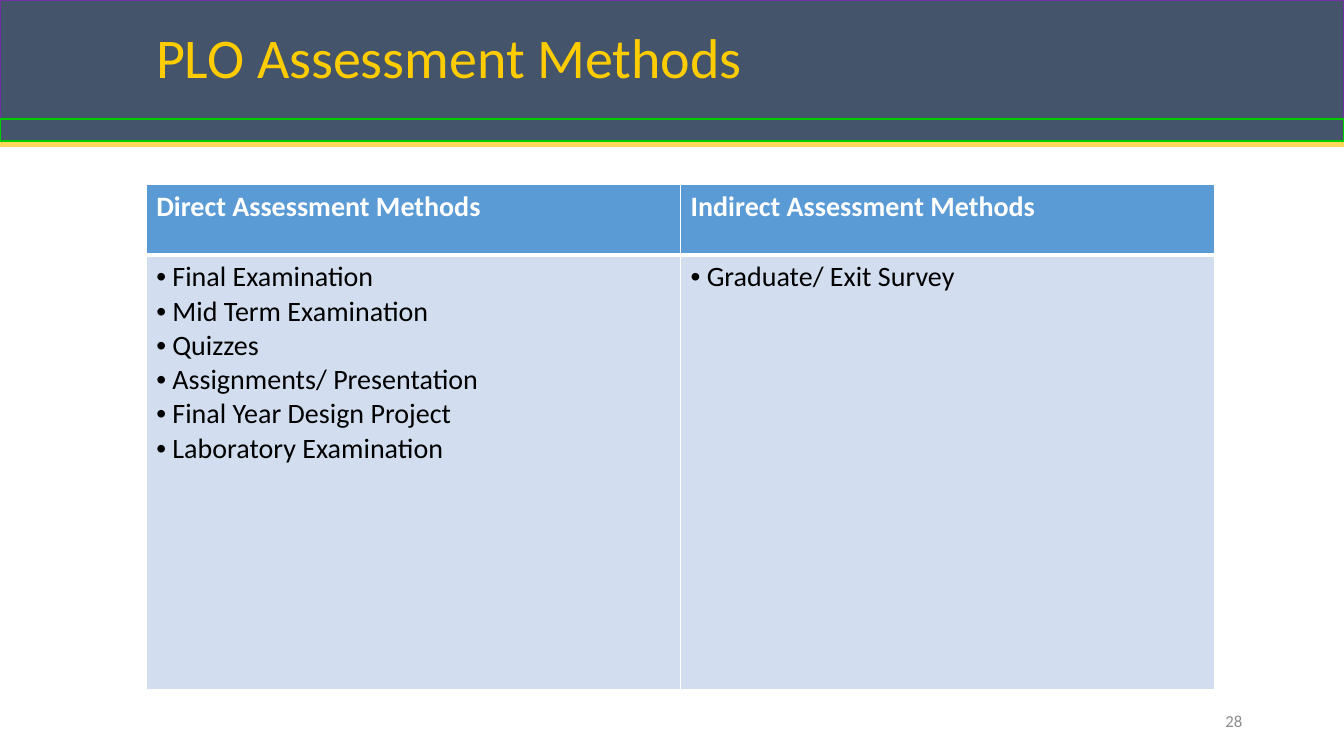
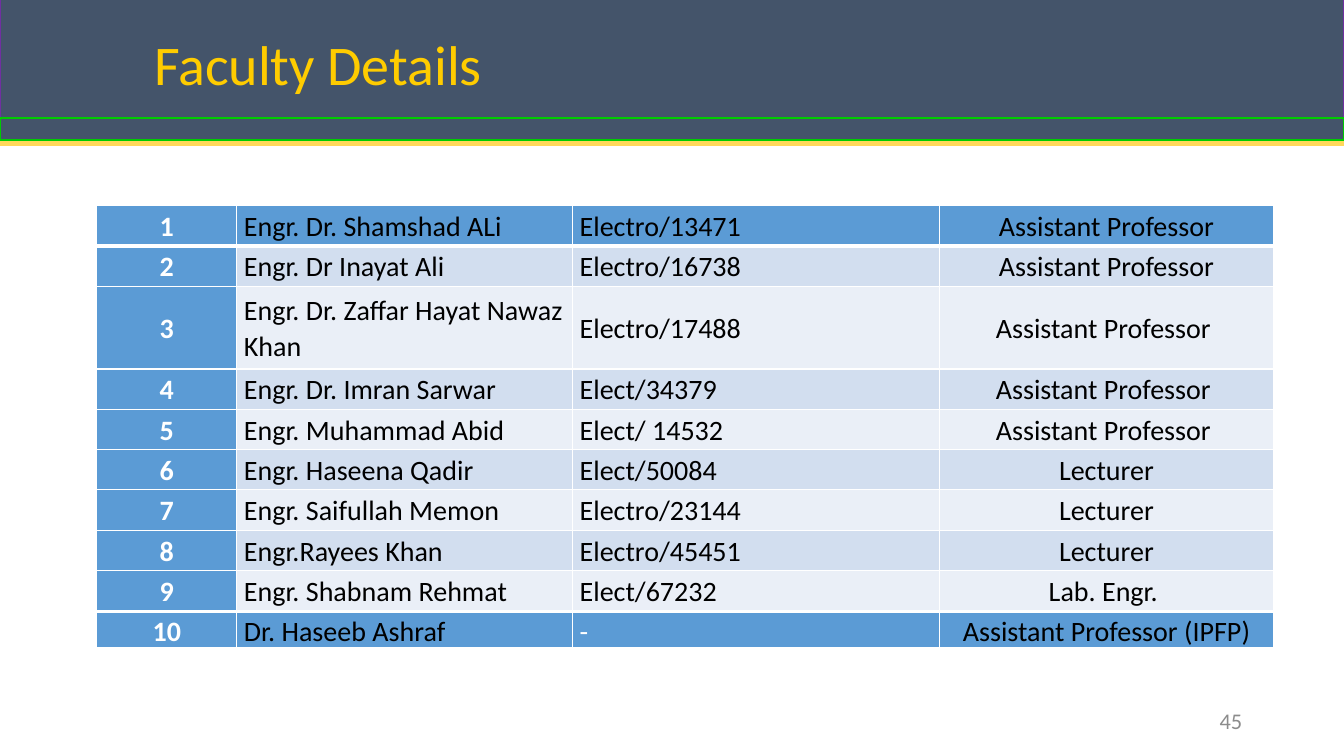
import pptx
import pptx.dml.color
import pptx.enum.shapes
import pptx.enum.text
import pptx.oxml.ns
import pptx.util
from lxml import etree

Inches = pptx.util.Inches
Pt = pptx.util.Pt
ALIGN = pptx.enum.text.PP_ALIGN
ANCHOR = pptx.enum.text.MSO_ANCHOR
qn = pptx.oxml.ns.qn

FONT = "Calibri"
SLIDE_WIDTH, SLIDE_HEIGHT = 13.33, 7.5
NAVY, PURPLE, GREEN, GOLD, YELLOW = "44546A", "7030A0", "00CC00", "FFD85B", "FFCC00"
WHITE, BLACK, GRAY = "FFFFFF", "000000", "8C8C8C"
BLUE, PALE_BLUE, PALEST_BLUE = "5B9BD5", "D2DEEF", "EAEFF7"
BULLET_INDENT = 0.16
CELL_TEXT_SIZE = 20

DIRECT_METHODS = [
    "Final Examination", "Mid Term Examination", "Quizzes",
    "Assignments/ Presentation", "Final Year Design Project", "Laboratory Examination",
]
INDIRECT_METHODS = ["Graduate/ Exit Survey"]

FACULTY_COLUMNS = [1.39, 3.33, 3.64, 3.31]
FACULTY = [
    ("1", "Engr. Dr. Shamshad ALi", "Electro/13471", "Assistant Professor"),
    ("2", "Engr. Dr Inayat Ali", "Electro/16738", "Assistant Professor"),
    ("3", "Engr. Dr. Zaffar Hayat Nawaz Khan", "Electro/17488", "Assistant Professor "),
    ("4", "Engr. Dr. Imran Sarwar", "Elect/34379", "Assistant Professor "),
    ("5", "Engr. Muhammad Abid", "Elect/ 14532", "Assistant Professor "),
    ("6", "Engr. Haseena Qadir", "Elect/50084", "Lecturer"),
    ("7", "Engr. Saifullah Memon", "Electro/23144", "Lecturer"),
    ("8", "Engr.Rayees Khan", "Electro/45451", "Lecturer"),
    ("9", "Engr. Shabnam Rehmat", "Elect/67232", "Lab. Engr. "),
]
FELLOW = ("10", "Dr. Haseeb Ashraf", "-", "Assistant Professor (IPFP)")


def rgb(color):
    return pptx.dml.color.RGBColor.from_string(color)


def style_paragraph(paragraph, size, color, bold=False, align=ALIGN.LEFT):
    paragraph.alignment = align
    paragraph.font.name = FONT
    paragraph.font.size = Pt(size)
    paragraph.font.bold = bold
    paragraph.font.color.rgb = rgb(color)


def add_text(slide, box, text, size, color, align=ALIGN.LEFT):
    """Add one vertically centred line of text and return its paragraph."""
    frame = slide.shapes.add_textbox(*map(Inches, box)).text_frame
    frame.word_wrap = True
    frame.vertical_anchor = ANCHOR.MIDDLE
    paragraph = frame.paragraphs[0]
    paragraph.text = text
    style_paragraph(paragraph, size, color, align=align)
    return paragraph


def add_band(slide, top, height, outline):
    band = slide.shapes.add_shape(
        pptx.enum.shapes.MSO_SHAPE.RECTANGLE,
        Inches(0), Inches(top), Inches(SLIDE_WIDTH), Inches(height))
    band.shadow.inherit = False
    band.fill.solid()
    band.fill.fore_color.rgb = rgb(NAVY)
    band.line.color.rgb = rgb(outline)
    band.line.width = Pt(1)


def add_header(slide, top, title, title_left, title_top):
    """Draw the bands and gold rule from the given top, then the title."""
    rule_top = Inches(top + 1.43)
    rule = slide.shapes.add_connector(
        pptx.enum.shapes.MSO_CONNECTOR.STRAIGHT,
        Inches(0), rule_top, Inches(SLIDE_WIDTH), rule_top)
    rule.line.color.rgb = rgb(GOLD)
    rule.line.width = Pt(3.75)
    etree.SubElement(rule.element.spPr, qn("a:effectLst"))
    add_band(slide, top, 1.2, PURPLE)
    add_band(slide, top + 1.18, 0.22, GREEN)
    paragraph = add_text(slide, (title_left, title_top, 10.73, 1.06), title, 40, YELLOW)
    paragraph.line_spacing = 0.9
    paragraph.space_before = Pt(10)


def add_page_number(slide, number, size):
    add_text(slide, (9.42, 6.95, 3, 0.4), str(number), size, GRAY, ALIGN.RIGHT)


def add_table(slide, left, top, columns, rows):
    """Add an unstyled table with the given column widths and row heights."""
    frame = slide.shapes.add_table(
        len(rows), len(columns),
        Inches(left), Inches(top), Inches(sum(columns)), Inches(sum(rows)))
    table = frame.table
    table.first_row = table.horz_banding = False
    for column, width in zip(table.columns, columns):
        column.width = Inches(width)
    for row, height in zip(table.rows, rows):
        row.height = Inches(height)
    return table


def paint_cell(cell, fill, top_border=1, bottom_border=1):
    """Give a cell white borders, widths in points, and a solid fill."""
    properties = cell._tc.get_or_add_tcPr()
    for side, width in (("L", 1), ("R", 1), ("T", top_border), ("B", bottom_border)):
        border = etree.SubElement(properties, qn("a:ln" + side), w=str(Pt(width)))
        solid = etree.SubElement(border, qn("a:solidFill"))
        etree.SubElement(solid, qn("a:srgbClr"), val=WHITE)
    cell.fill.solid()
    cell.fill.fore_color.rgb = rgb(fill)


def add_bullet(paragraph):
    properties = paragraph._p.get_or_add_pPr()
    properties.set("marL", str(Inches(BULLET_INDENT)))
    properties.set("indent", str(-Inches(BULLET_INDENT)))
    etree.SubElement(properties, qn("a:buFont"), typeface="Arial")
    etree.SubElement(properties, qn("a:buChar"), char="•")


def add_methods_table(slide, left, top):
    table = add_table(slide, left, top, [5.3, 5.3], [0.7, 4.31])
    columns = [("Direct Assessment Methods", DIRECT_METHODS),
               ("Indirect Assessment Methods", INDIRECT_METHODS)]
    for index, (heading, methods) in enumerate(columns):
        heading_cell, methods_cell = table.cell(0, index), table.cell(1, index)
        paint_cell(heading_cell, BLUE, bottom_border=3)
        heading_cell.text = heading
        style_paragraph(heading_cell.text_frame.paragraphs[0], CELL_TEXT_SIZE, WHITE, bold=True)
        paint_cell(methods_cell, PALE_BLUE, top_border=3)
        methods_cell.text = "\n".join(methods)
        for paragraph in methods_cell.text_frame.paragraphs:
            add_bullet(paragraph)
            style_paragraph(paragraph, CELL_TEXT_SIZE, BLACK)


def fill_faculty_row(table, row, values, fill, top_border=1, bottom_border=1):
    for column, value in enumerate(values):
        is_number = column == 0
        cell = table.cell(row, column)
        paint_cell(cell, BLUE if is_number else fill, top_border, bottom_border)
        cell.vertical_anchor = ANCHOR.MIDDLE
        cell.margin_left = cell.margin_right = Inches(0.07)
        cell.margin_top = cell.margin_bottom = 0
        cell.text = value
        paragraph = cell.text_frame.paragraphs[0]
        style_paragraph(
            paragraph, CELL_TEXT_SIZE,
            WHITE if is_number or value == "-" else BLACK,
            bold=is_number,
            align=ALIGN.CENTER if column in (0, 3) else ALIGN.LEFT)
        paragraph.line_spacing = 1.07


def add_faculty_tables(slide, left, top):
    """Add the staff table and, right below it, the one-row fellow table."""
    heights = [0.82 if values[0] == "3" else 0.4 for values in FACULTY]
    staff = add_table(slide, left, top, FACULTY_COLUMNS, heights)
    for row, values in enumerate(FACULTY):
        stripe = PALE_BLUE if row % 2 else PALEST_BLUE
        fill_faculty_row(staff, row, values, stripe if row else BLUE,
                         top_border=3 if row == 1 else 1,
                         bottom_border=1 if row else 3)
    fellow = add_table(slide, left, top + 4.04, FACULTY_COLUMNS, [0.34])
    fill_faculty_row(fellow, 0, FELLOW, BLUE, bottom_border=3)


def build_methods_slide(slide):
    add_header(slide, 0, "PLO Assessment Methods", 1.45, 0.07)
    add_methods_table(slide, 1.45, 1.83)
    add_page_number(slide, 28, 12)


def build_faculty_slide(slide):
    add_header(slide, -0.01, "Faculty Details", 1.43, 0.14)
    add_page_number(slide, 45, 16)
    add_faculty_tables(slide, 0.96, 2.04)


def main():
    presentation = pptx.Presentation()
    presentation.slide_width = Inches(SLIDE_WIDTH)
    presentation.slide_height = Inches(SLIDE_HEIGHT)
    blank = presentation.slide_layouts[6]
    for build in (build_methods_slide, build_faculty_slide):
        build(presentation.slides.add_slide(blank))
    presentation.save("out.pptx")


if __name__ == "__main__":
    main()
